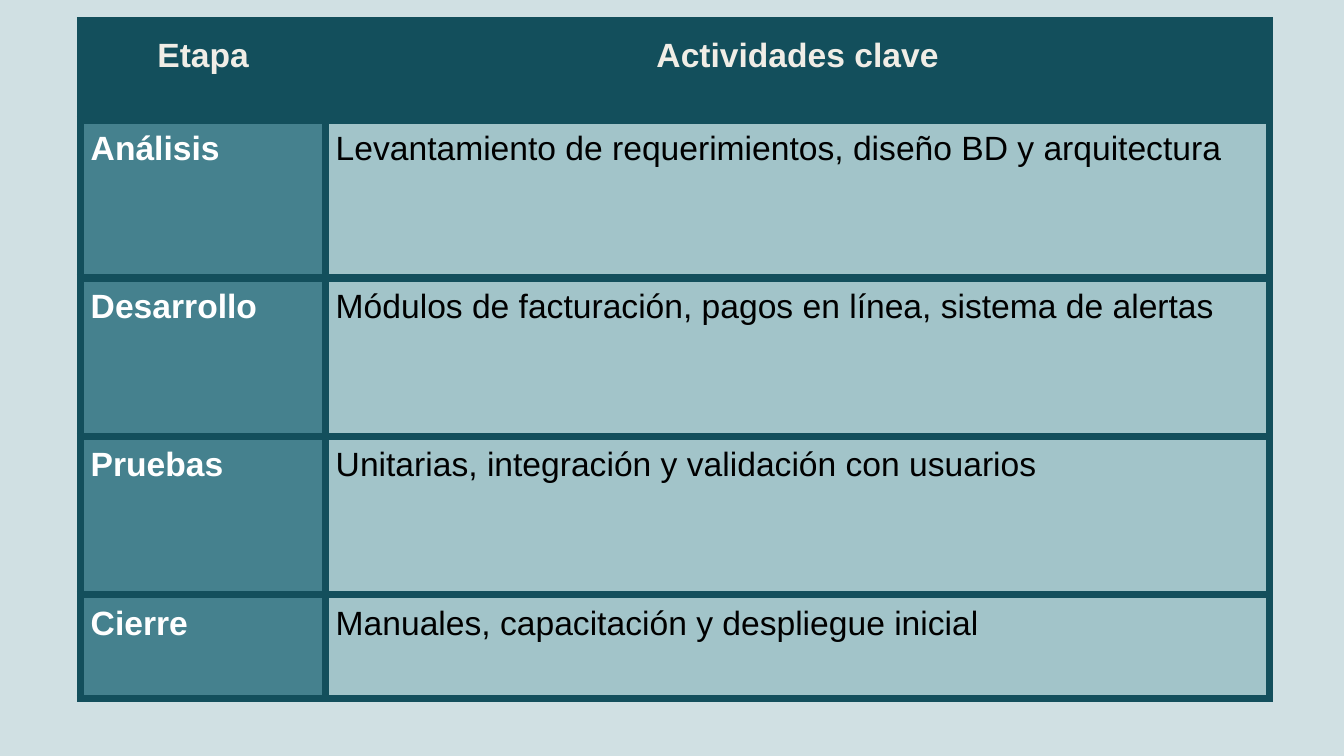
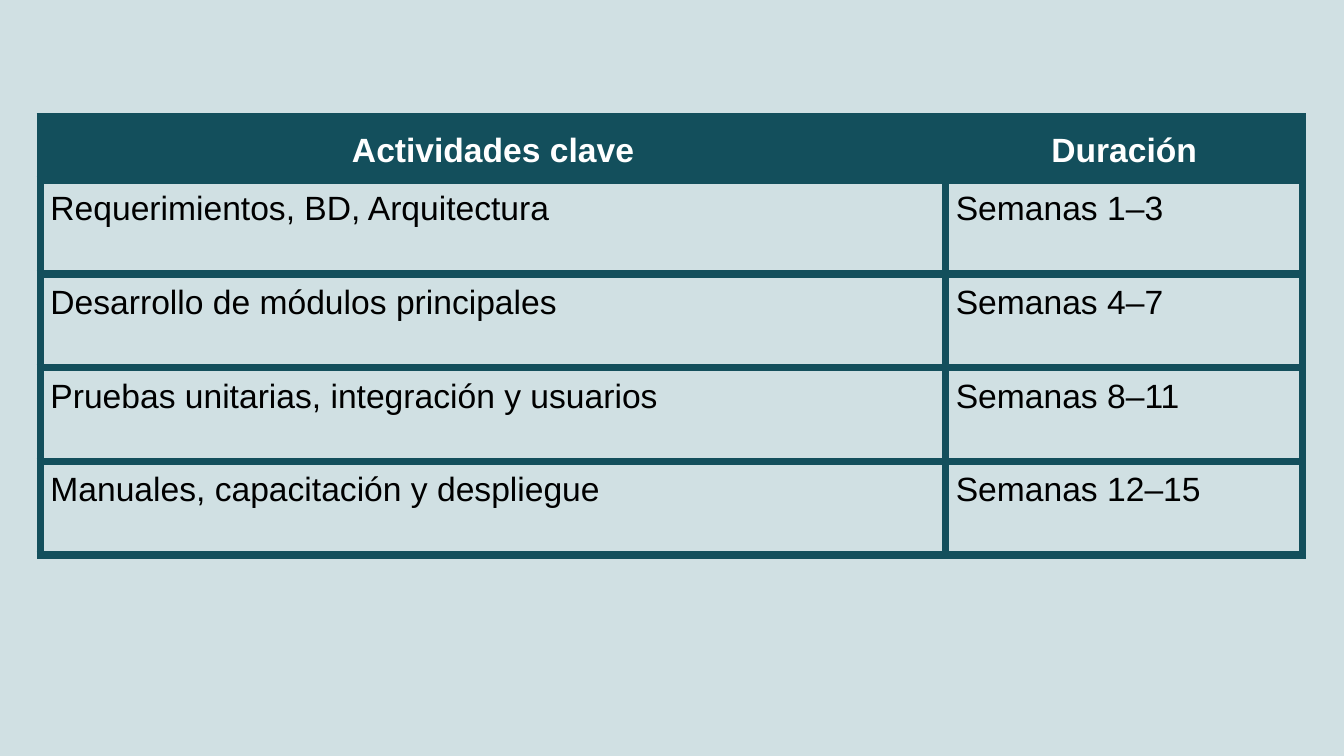
from dataclasses import dataclass

from lxml import etree
from pptx import Presentation
from pptx.dml.color import RGBColor
from pptx.enum.text import PP_ALIGN
from pptx.oxml.ns import qn
from pptx.util import Inches, Pt

CENTER, LEFT = PP_ALIGN.CENTER, PP_ALIGN.LEFT
BLANK_LAYOUT = 6


@dataclass(frozen=True)
class Theme:
    font: str = "Arial"
    size: int = 24
    background: str = "D0E0E3"
    dark: str = "134F5C"
    medium: str = "45818E"
    light: str = "A2C4C9"
    cream: str = "F0EDE6"
    white: str = "FFFFFF"
    black: str = "000000"
    border_width: int = 6
    cell_margin: float = 0.1
    header_spacing: float = 1.15


@dataclass(frozen=True)
class CellStyle:
    fill: str
    color: str
    bold: bool = False
    align: PP_ALIGN = LEFT
    spacing: float = 1.0


THEME = Theme()


def header_style(color):
    return CellStyle(THEME.dark, color, True, CENTER, THEME.header_spacing)


STAGE = CellStyle(THEME.medium, THEME.white, bold=True)
ACTIVITY = CellStyle(THEME.light, THEME.black)
PLAIN = CellStyle(THEME.background, THEME.black)


def add_slide(prs):
    slide = prs.slides.add_slide(prs.slide_layouts[BLANK_LAYOUT])
    fill = slide.background.fill
    fill.solid()
    fill.fore_color.rgb = RGBColor.from_string(THEME.background)
    return slide


def set_borders(cell):
    tc_pr = cell._tc.get_or_add_tcPr()
    for side in ("a:lnL", "a:lnR", "a:lnT", "a:lnB"):
        ln = etree.SubElement(tc_pr, qn(side), w=str(Pt(THEME.border_width)))
        solid = etree.SubElement(ln, qn("a:solidFill"))
        etree.SubElement(solid, qn("a:srgbClr"), val=THEME.dark)


def write_cell(cell, text, style):
    set_borders(cell)
    cell.fill.solid()
    cell.fill.fore_color.rgb = RGBColor.from_string(style.fill)
    margin = Inches(THEME.cell_margin)
    cell.margin_left = cell.margin_right = margin
    cell.margin_top = cell.margin_bottom = margin
    p = cell.text_frame.paragraphs[0]
    p.text = text
    p.alignment = style.align
    p.line_spacing = style.spacing
    p.font.name = THEME.font
    p.font.size = Pt(THEME.size)
    p.font.bold = style.bold
    p.font.color.rgb = RGBColor.from_string(style.color)


def add_schedule_table(slide, left, top, widths, heights, rows, header, columns):
    table = slide.shapes.add_table(
        len(heights), len(widths), Inches(left), Inches(top),
        Inches(sum(widths)), Inches(sum(heights))).table
    for column, width in zip(table.columns, widths):
        column.width = Inches(width)
    for row, height in zip(table.rows, heights):
        row.height = Inches(height)
    for i, texts in enumerate(rows):
        for j, text in enumerate(texts):
            write_cell(table.cell(i, j), text, columns[j] if i else header)


def build_stages(prs):
    rows = [
        ("Etapa", "Actividades clave"),
        ("Análisis", "Levantamiento de requerimientos, diseño BD y arquitectura"),
        ("Desarrollo", "Módulos de facturación, pagos en línea, sistema de alertas"),
        ("Pruebas", "Unitarias, integración y validación con usuarios"),
        ("Cierre", "Manuales, capacitación y despliegue inicial"),
    ]
    add_schedule_table(
        add_slide(prs), 0.8, 0.21, [2.43, 9.36], [0.98] + [1.57] * 3 + [1.03],
        rows, header_style(THEME.cream), [STAGE, ACTIVITY])


def build_durations(prs):
    rows = [
        ("Actividades clave", "Duración"),
        ("Requerimientos, BD, Arquitectura", "Semanas 1–3"),
        ("Desarrollo de módulos principales", "Semanas 4–7"),
        ("Pruebas unitarias, integración y usuarios", "Semanas 8–11"),
        ("Manuales, capacitación y despliegue", "Semanas 12–15"),
    ]
    add_schedule_table(
        add_slide(prs), 0.4, 1.16, [8.98, 3.54], [0.43] + [0.93] * 4,
        rows, header_style(THEME.white), [PLAIN, PLAIN])


def main():
    prs = Presentation()
    prs.slide_width = Inches(13.33)
    prs.slide_height = Inches(7.5)
    build_stages(prs)
    build_durations(prs)
    prs.save("out.pptx")


if __name__ == "__main__":
    main()
